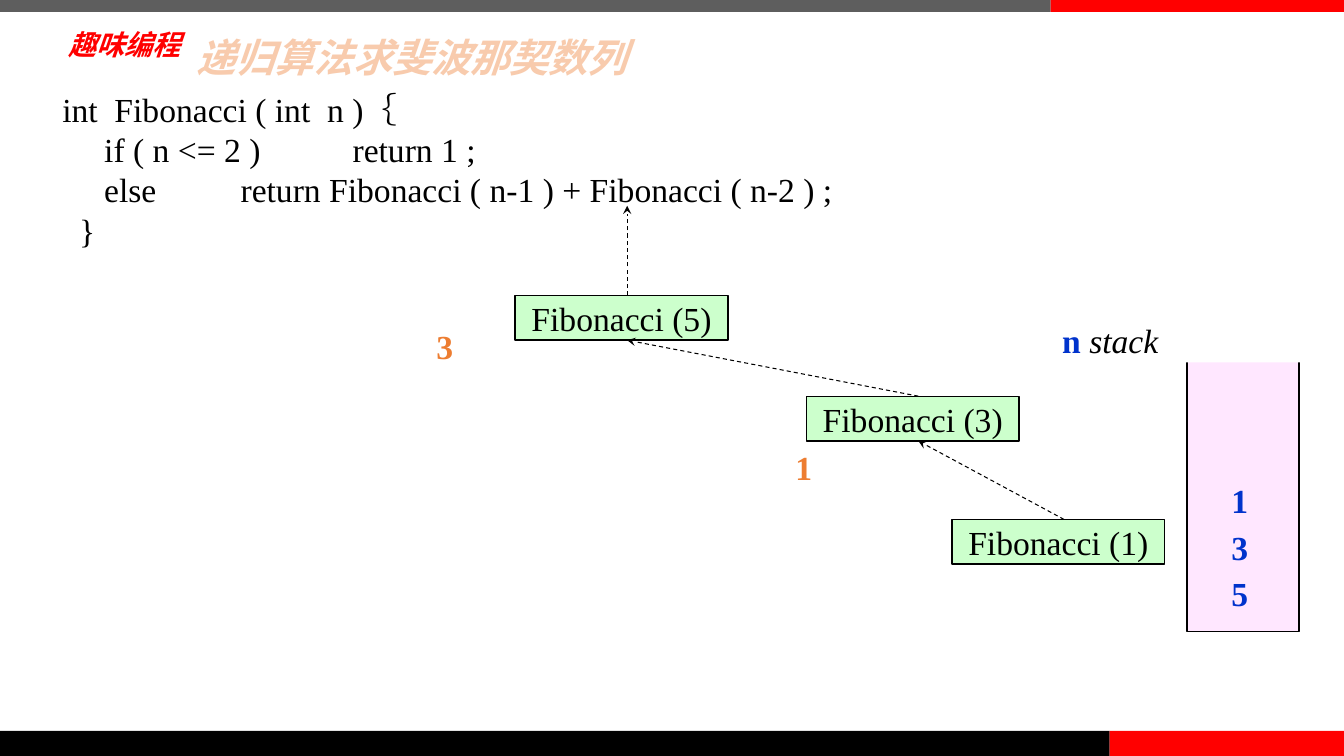
from dataclasses import dataclass
from lxml.etree import SubElement
from pptx import Presentation
from pptx.dml.color import RGBColor
from pptx.enum.dml import MSO_LINE
from pptx.enum.shapes import MSO_CONNECTOR, MSO_SHAPE
from pptx.enum.text import MSO_ANCHOR, MSO_AUTO_SIZE, PP_ALIGN
from pptx.oxml import parse_xml
from pptx.oxml.ns import nsdecls, qn
from pptx.util import Pt


@dataclass(frozen=True)
class Theme:
    black: str = "000000"
    white: str = "FFFFFF"
    gray: str = "5E5E5E"
    red: str = "FF0000"
    green: str = "CCFFCC"
    pink: str = "FFE7FF"
    blue: str = "0033CC"
    orange: str = "ED7D31"
    peach: str = "F8CBAD"
    serif: str = "Times New Roman"
    sans: str = "Roboto"
    han: str = "Noto Sans CJK SC"
    brand: float = 20
    body: float = 24
    title: float = 28


T = Theme()
CALL_W, CALL_H = 152, 32
SHIFT = 4  # arrows meet a call box just right of its middle


def add_run(para, text, color=T.black, size=T.body, face=T.serif,
            bold=False, italic=False):
    run = para.add_run()
    run.text = text
    font = run.font
    font.size, font.bold, font.italic = Pt(size), bold, italic
    font.color.rgb = RGBColor.from_string(color)
    font.name = face
    SubElement(run._r.get_or_add_rPr(), qn("a:ea"), typeface=face)
    return run


def set_frame(frame, inset=(7.2, 3.6), wrap=False, anchor=MSO_ANCHOR.TOP,
              fit=MSO_AUTO_SIZE.NONE):
    frame.margin_left = frame.margin_right = Pt(inset[0])
    frame.margin_top = frame.margin_bottom = Pt(inset[1])
    frame.word_wrap, frame.vertical_anchor = wrap, anchor
    frame.auto_size = fit
    return frame.paragraphs[0]


def add_box(slide, box, fill, line=None):
    shape = slide.shapes.add_shape(MSO_SHAPE.RECTANGLE, *map(Pt, box))
    shape.shadow.inherit = False
    shape.fill.solid()
    shape.fill.fore_color.rgb = RGBColor.from_string(fill)
    if line:
        shape.line.color.rgb = RGBColor.from_string(line)
        shape.line.width = Pt(1)
    else:
        shape.line.fill.background()
    return shape


def add_text(slide, box):
    return slide.shapes.add_textbox(*map(Pt, box)).text_frame


def add_bars(slide, width, height):
    """Draw the two-colour strips along the top and bottom edges."""
    for top, deep, split, dark in ((0, 8.6, 750.5, T.gray),
                                   (height - 18, 18, 792.7, T.black)):
        add_box(slide, (0, top, split, deep), dark)
        add_box(slide, (split, top, width - split, deep), T.red)


def add_brand(slide, box):
    para = set_frame(add_text(slide, box), (4.3, 4.3), True,
                     MSO_ANCHOR.MIDDLE)
    add_run(para, "趣味编程", T.red, T.brand, T.sans, True, True)


def add_title(slide, box):
    title = slide.shapes.title
    title.left, title.top, title.width, title.height = map(Pt, box)
    para = set_frame(title.text_frame, (9.4, 5), True)
    para.alignment, para.line_spacing = PP_ALIGN.LEFT, 0.8
    run = add_run(para, "递归算法求斐波那契数列", T.peach, T.title, T.han,
                  True, True)
    run._r.get_or_add_rPr().insert(0, parse_xml(
        f'<a:ln {nsdecls("a")} w="{Pt(1.75)}"><a:solidFill>'
        f'<a:srgbClr val="{T.orange}"/></a:solidFill></a:ln>'))


def add_code(slide, box):
    """Write the function; each tab stop sets where its return begins."""
    frame = add_text(slide, box)
    para = set_frame(frame, fit=MSO_AUTO_SIZE.SHAPE_TO_FIT_TEXT)
    lines = (("int  Fibonacci ( int  n )｛", None),
             ("     if ( n <= 2 )\treturn 1 ;", 207.4),
             ("     else\treturn Fibonacci ( n-1 ) + Fibonacci ( n-2 ) ;",
              127.4),
             ("  }", None))
    for row, (text, stop) in enumerate(lines):
        if row:
            para = frame.add_paragraph()
        if stop:
            tabs = SubElement(para._p.get_or_add_pPr(), qn("a:tabLst"))
            SubElement(tabs, qn("a:tab"), pos=str(Pt(stop)), algn="l")
        add_run(para, text)


def add_digit(slide, left, top, text, color):
    para = set_frame(add_text(slide, (left, top, 26.6, 28)),
                     fit=MSO_AUTO_SIZE.SHAPE_TO_FIT_TEXT)
    para.line_spacing = 0.7
    add_run(para, text, color, bold=True)


def add_arrow(slide, start, end):
    line = slide.shapes.add_connector(MSO_CONNECTOR.STRAIGHT,
                                      *map(Pt, start + end))
    line.line.color.rgb = RGBColor.from_string(T.black)
    line.line.width = Pt(0.75)
    line.line.dash_style = MSO_LINE.DASH
    SubElement(line.line._get_or_add_ln(), qn("a:tailEnd"), type="stealth")
    SubElement(line._element.spPr, qn("a:effectLst"))


def add_calls(slide, left, top):
    """Draw the chain of calls, each pointing back to its caller."""
    end = (left + CALL_W / 2 + SHIFT, top - 64)
    for n, dx, dy in ((5, 0, 0), (3, 208, 72), (1, 312, 160)):
        x, y = left + dx, top + dy
        mid = x + CALL_W / 2 + SHIFT
        box = add_box(slide, (x, y, CALL_W, CALL_H), T.green, T.black)
        para = set_frame(box.text_frame, anchor=MSO_ANCHOR.MIDDLE)
        para.alignment = PP_ALIGN.CENTER
        add_run(para, f"Fibonacci ({n})")
        add_arrow(slide, (mid, y), end)
        end = (mid, y + CALL_H)
    for text, dx, dy in (("3", -63.4, 26), ("1", 193, 112.3)):
        add_digit(slide, left + dx, top + dy, text, T.orange)


def add_stack(slide, left, top, width, height):
    """Draw the stack; its white label hides the top edge to leave it open."""
    add_box(slide, (left, top, width, height), T.pink, T.black)
    label = add_box(slide, (left - 96.4, top - 24.5, 192, 32), T.white)
    para = set_frame(label.text_frame, anchor=MSO_ANCHOR.MIDDLE)
    para.alignment = PP_ALIGN.LEFT
    add_run(para, "n ", T.blue, bold=True)
    add_run(para, "stack", italic=True)
    for text, dy in (("5", 162), ("3", 129.6), ("1", 95.8)):
        add_digit(slide, left + 24.5, top + dy, text, T.blue)


def main():
    deck = Presentation()
    deck.slide_width, deck.slide_height = Pt(960), Pt(540)
    slide = deck.slides.add_slide(deck.slide_layouts[5])
    add_bars(slide, 960, 540)
    add_brand(slide, (44.6, 15.8, 92.2, 32.4))
    add_title(slide, (131, 25.2, 800.6, 38.9))
    add_calls(slide, 368, 211)
    add_stack(slide, 848, 251.3, 80, 200)
    add_code(slide, (37.4, 59.8, 569.5, 123.8))
    deck.save("out.pptx")


if __name__ == "__main__":
    main()
